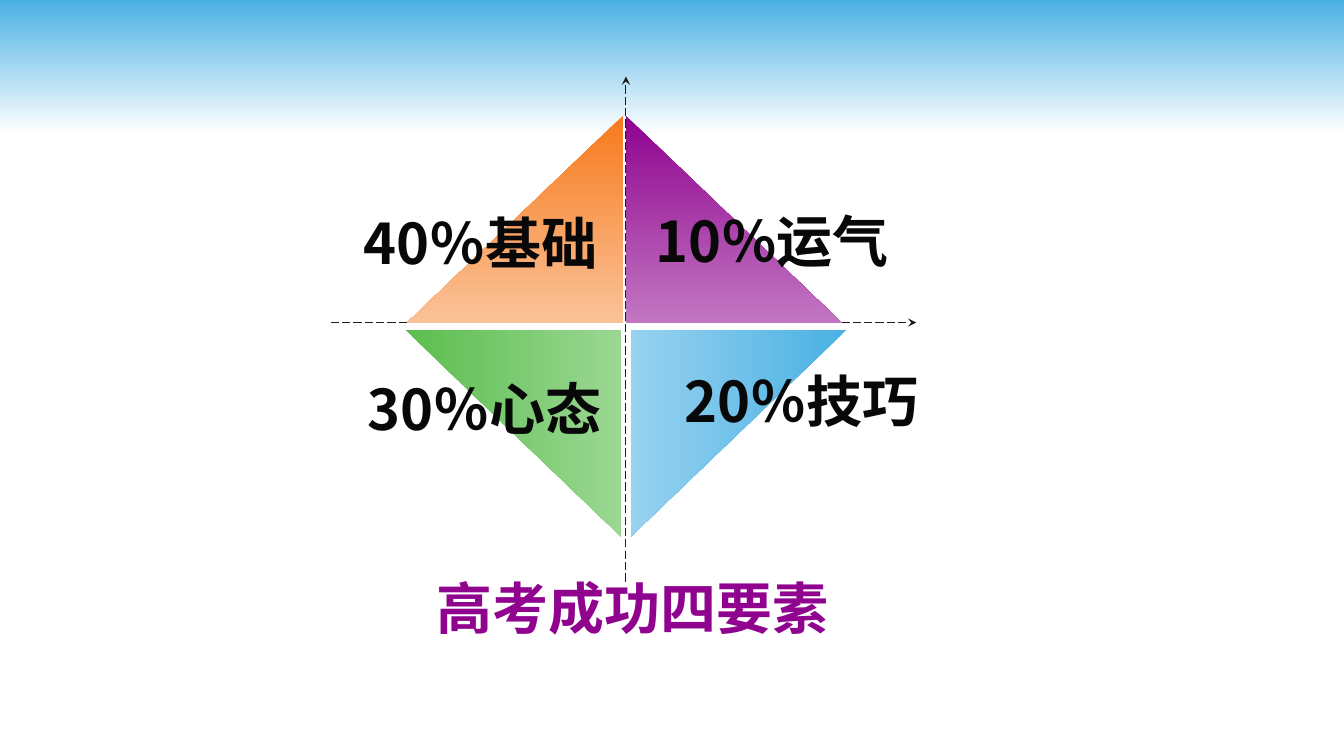
from lxml import etree
from pptx import Presentation
from pptx.dml.color import RGBColor
from pptx.enum import dml, shapes, text
from pptx.oxml.ns import qn
from pptx.util import Pt

COLOURS = {
    "blue": "4AB1E4", "light blue": "97D2EF", "white": "FFFFFF",
    "orange": "F77A1D", "light orange": "FBC298",
    "purple": "8F038F", "light purple": "C276C2",
    "green": "5BBE4E", "light green": "9BD793",
    "ink": "080808", "axis": "1C1C1C",
}
SLIDE_W, SLIDE_H = 960, 540
BAND_H = 96
CENTRE_X, CENTRE_Y = 447.1, 230.4
LEG_W, LEG_H = 154, 147.6
LABEL_H = 55.4
FONT = "Noto Sans CJK JP"
CENTER, LEFT = text.PP_ALIGN.CENTER, text.PP_ALIGN.LEFT

# start, end
AXES = [
    ((CENTRE_X, 415.4), (CENTRE_X, 54.7)),
    ((236.2, CENTRE_Y), (654.5, CENTRE_Y)),
]
# colour, left, top, width, height, rotation, flipped, label, label left, top, width, alignment
FACTORS = [
    ("orange", 290.9, CENTRE_Y - LEG_H, LEG_W, LEG_H, 0, True,
     "40％基础", 241.9, 145.4, 203, CENTER),
    ("purple", CENTRE_X, CENTRE_Y - LEG_H, LEG_W, LEG_H, 0, False,
     "10％运气", 460.8, 144, 210.2, LEFT),
    ("blue", 453.6, 232.6, LEG_H, LEG_W, 90, False,
     "20％技巧", 444.2, 258.5, 257, CENTER),
    ("green", 293, 232.6, LEG_H, LEG_W, 270, True,
     "30％心态", 241.9, 264.2, 208.8, CENTER),
]
TITLE = ("高考成功四要素", 202.3, 406.1, 499, CENTER, "purple", "Arial")


def rgb(name):
    return RGBColor.from_string(COLOURS[name])


def add_gradient_shape(s, kind, box, start, end):
    """Add a borderless shape shaded from its top to its bottom."""
    sp = s.shapes.add_shape(kind, *map(Pt, box))
    sp.shadow.inherit = False
    sp.line.fill.background()
    sp.fill.gradient()
    sp.fill.gradient_angle = 270
    for stop, name in zip(sp.fill.gradient_stops, (start, end)):
        stop.color.rgb = rgb(name)
    return sp


def add_axis(s, start, end):
    line = s.shapes.add_connector(shapes.MSO_CONNECTOR.STRAIGHT,
                                  *map(Pt, start + end))
    line.line.color.rgb = rgb("axis")
    line.line.width = Pt(0.75)
    line.line.dash_style = dml.MSO_LINE.LONG_DASH
    etree.SubElement(line.line._get_or_add_ln(), qn("a:tailEnd"), type="stealth")
    etree.SubElement(line._element.spPr, qn("a:effectLst"))


def add_label(s, words, left, top, width, align, colour="ink", font=FONT):
    tf = s.shapes.add_textbox(*map(Pt, (left, top, width, LABEL_H))).text_frame
    tf.word_wrap = True
    tf.auto_size = text.MSO_AUTO_SIZE.SHAPE_TO_FIT_TEXT
    p = tf.paragraphs[0]
    p.alignment = align
    r = p.add_run()
    r.text = words
    for key, value in {"name": font, "size": Pt(40), "bold": True}.items():
        setattr(r.font, key, value)
    r.font.color.rgb = rgb(colour)
    etree.SubElement(r._r.get_or_add_rPr(), qn("a:ea"), typeface=FONT)


def main():
    prs = Presentation()
    prs.slide_width, prs.slide_height = Pt(SLIDE_W), Pt(SLIDE_H)
    s = prs.slides.add_slide(prs.slide_layouts[6])
    add_gradient_shape(s, shapes.MSO_SHAPE.RECTANGLE,
                       (0, 0, SLIDE_W, BAND_H), "blue", "white")
    for start, end in AXES:
        add_axis(s, start, end)
    for colour, left, top, width, height, rotation, flipped, *label in FACTORS:
        sp = add_gradient_shape(s, shapes.MSO_SHAPE.RIGHT_TRIANGLE,
                                (left, top, width, height),
                                colour, f"light {colour}")
        sp.rotation = rotation
        if flipped:
            sp._element.spPr.xfrm.set("flipH", "1")
        add_label(s, *label)
    add_label(s, *TITLE)
    prs.save("out.pptx")


if __name__ == "__main__":
    main()
